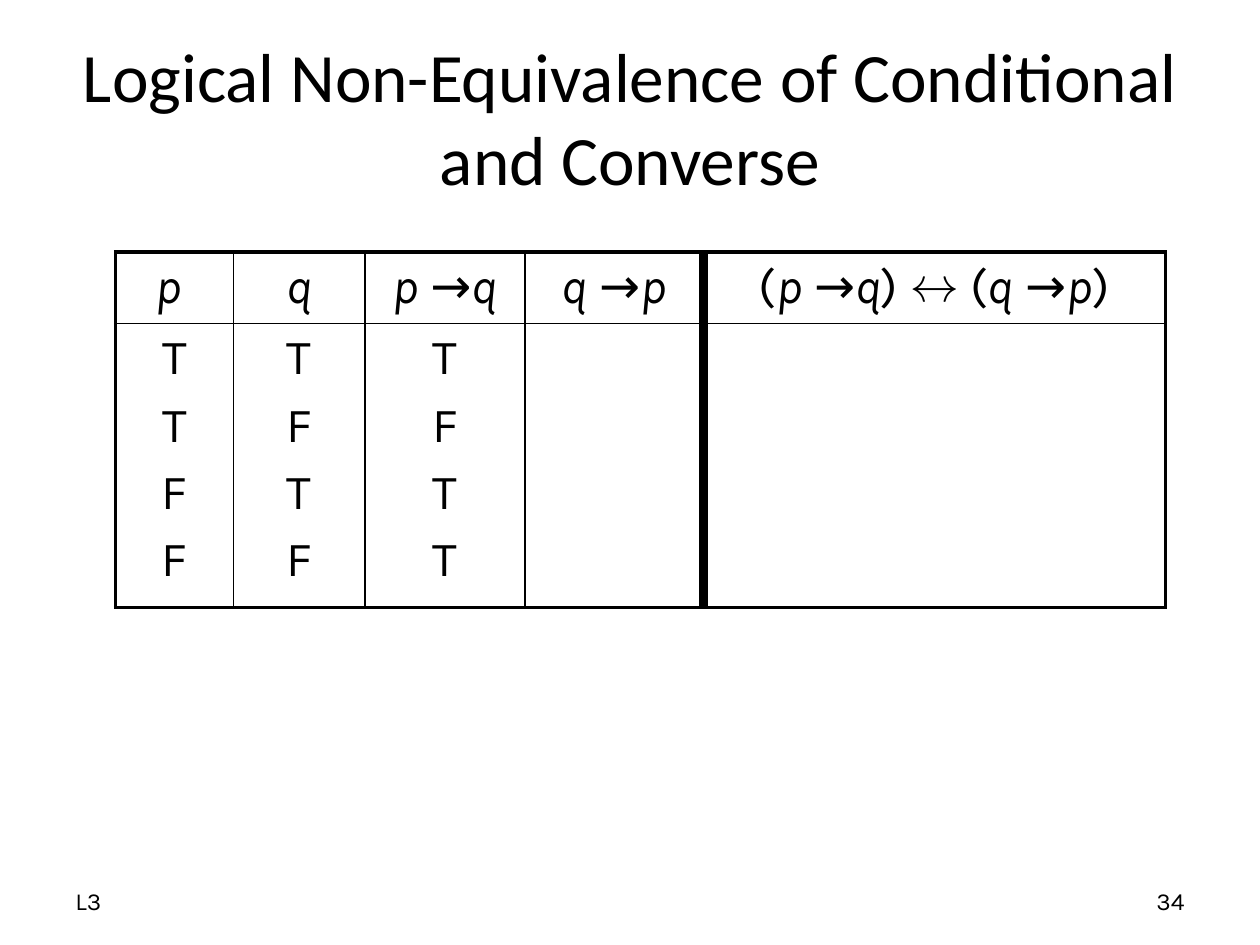
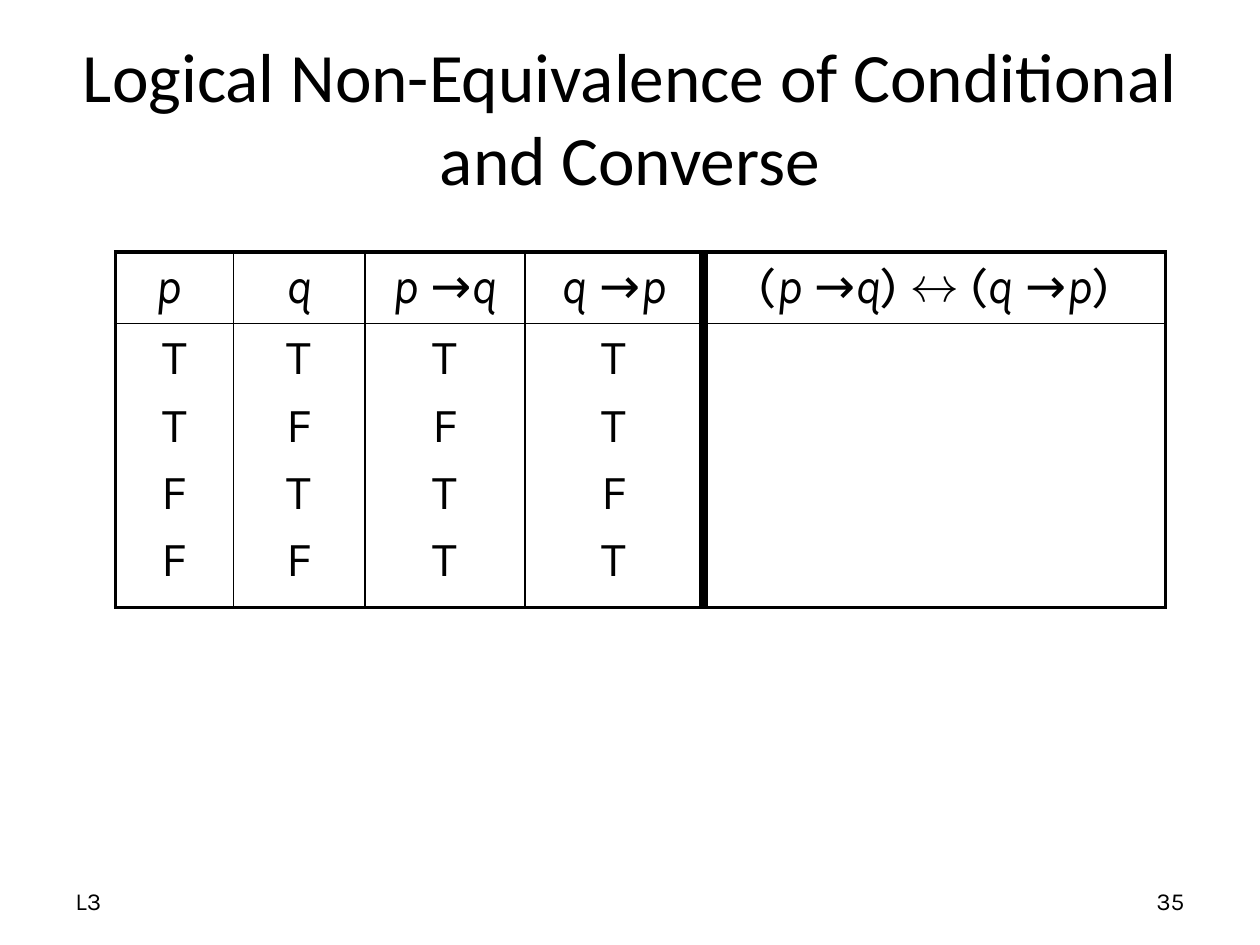
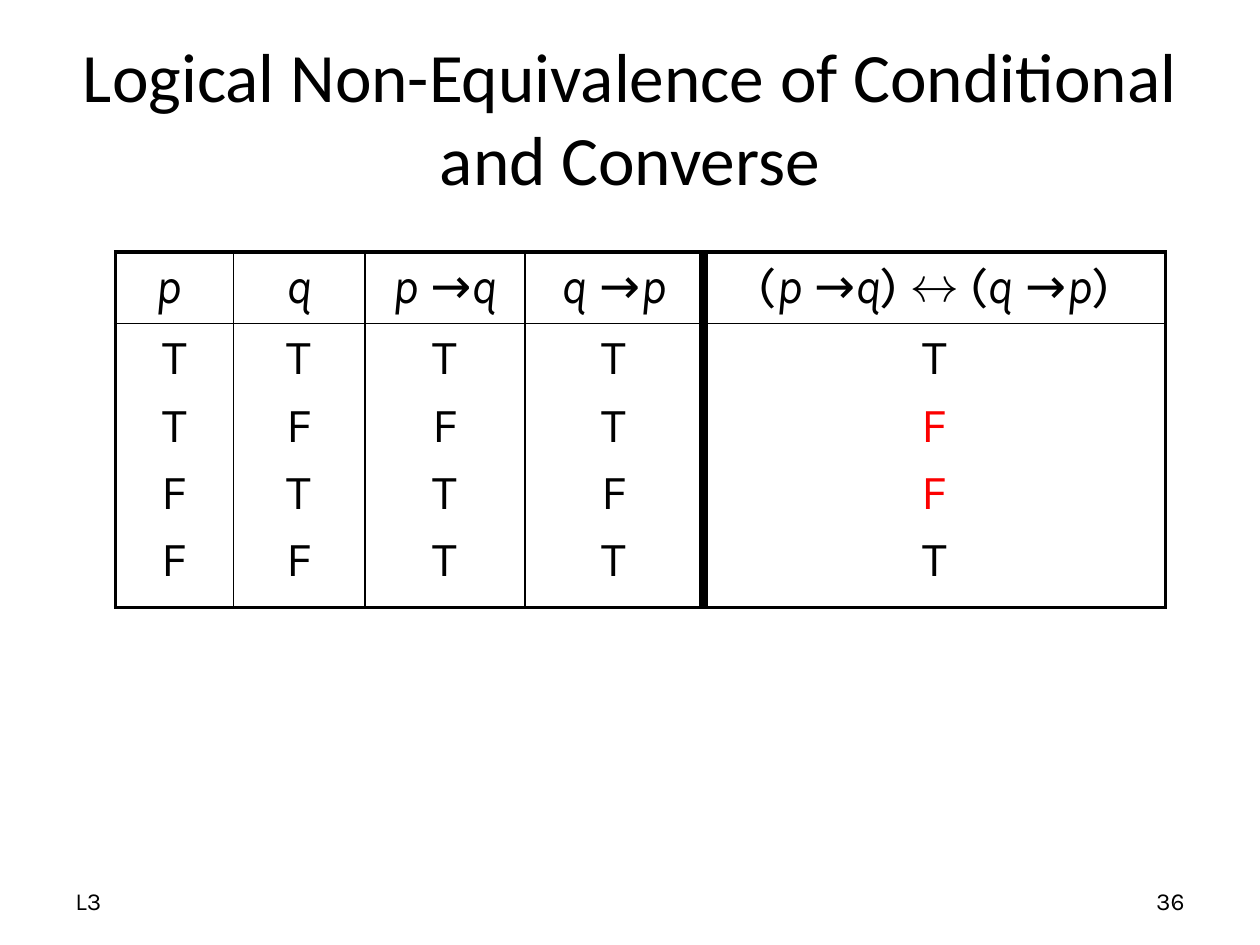
import itertools

import pptx
import pptx.dml.color
import pptx.enum.text
import pptx.oxml
import pptx.oxml.ns
import pptx.util

Pt = pptx.util.Pt
ALIGN = pptx.enum.text.PP_ALIGN
BLACK, RED = "000000", "FC0000"
TITLE_FONT, BODY_FONT = "Calibri", "Karla"

TITLE = "Logical Non-Equivalence of Conditional and Converse"
LECTURE = "L3"
FIRST_NUMBER = 34

HEADERS = ["p ", "q", "p →q", "q →p", "(p →q) ↔ (q →p)"]
TRUTH_VALUES = ["TTFF", "TFTF", "TFTT", "TTFT", "TFFT"]
FILLED_COLUMNS = [3, 4, 5]

COLUMN_WIDTHS = [67.5, 75, 91.5, 102, 264]
ROW_HEIGHTS = [41, 162]
VERTICAL_RULES = [2.25, 1, 1, 1, 6, 2.25]
HORIZONTAL_RULES = [2.25, 1, 2.25]


def rgb(value):
    return pptx.dml.color.RGBColor.from_string(value)


def style_paragraph(p, font, size, align, color=BLACK):
    p.alignment = align
    p.font.name = font
    p.font.size = Pt(size)
    p.font.color.rgb = rgb(color)


def add_text(s, text, left, top, width, height, font, size, align):
    tf = s.shapes.add_textbox(Pt(left), Pt(top), Pt(width), Pt(height)).text_frame
    tf.word_wrap = True
    tf.vertical_anchor = pptx.enum.text.MSO_ANCHOR.MIDDLE
    p = tf.paragraphs[0]
    p.add_run().text = text
    style_paragraph(p, font, size, align)


def add_frame(s, number):
    """Add the title, the lecture label and the slide number."""
    add_text(s, LECTURE, 36, 500.5, 168, 28.8, BODY_FONT, 14, ALIGN.LEFT)
    add_text(s, str(number), 516, 500.5, 168, 28.8, BODY_FONT, 14, ALIGN.RIGHT)
    add_text(s, TITLE, 36, 21.6, 648, 90, TITLE_FONT, 39.6, ALIGN.CENTER)


def set_borders(cell, widths):
    """Draw the left, right, top and bottom borders, in that order."""
    tcPr = cell._tc.get_or_add_tcPr()
    for side, width in zip("LRTB", widths):
        tcPr.append(pptx.oxml.parse_xml(
            f'<a:ln{side} {pptx.oxml.ns.nsdecls("a")} w="{Pt(width)}">'
            f'<a:solidFill><a:srgbClr val="{BLACK}"/></a:solidFill></a:ln{side}>'))


def style_cell_paragraph(p, color=BLACK):
    style_paragraph(p, BODY_FONT, 28, ALIGN.CENTER, color)
    p.space_before = Pt(5.6)


def write_formula(cell, formula):
    """Write a formula with its variables in italics."""
    p = cell.text_frame.paragraphs[0]
    style_cell_paragraph(p)
    for is_variable, chars in itertools.groupby(formula, lambda c: c in "pq"):
        r = p.add_run()
        r.text = "".join(chars)
        r.font.italic = is_variable


def write_truth_values(cell, values, false_color):
    tf = cell.text_frame
    for i, value in enumerate(values):
        p = tf.add_paragraph() if i else tf.paragraphs[0]
        p.add_run().text = value
        style_cell_paragraph(p, false_color if value == "F" else BLACK)


def add_truth_table(s, filled):
    """Add the table with truth values in the first `filled` columns."""
    table = s.shapes.add_table(
        len(ROW_HEIGHTS), len(COLUMN_WIDTHS), Pt(66), Pt(144),
        Pt(sum(COLUMN_WIDTHS)), Pt(sum(ROW_HEIGHTS))).table
    table.first_row = table.horz_banding = False
    for row, height in zip(table.rows, ROW_HEIGHTS):
        row.height = Pt(height)
    for col, width in enumerate(COLUMN_WIDTHS):
        table.columns[col].width = Pt(width)
        for row in range(len(ROW_HEIGHTS)):
            cell = table.cell(row, col)
            set_borders(cell, VERTICAL_RULES[col:col + 2] + HORIZONTAL_RULES[row:row + 2])
            cell.fill.background()
        write_formula(table.cell(0, col), HEADERS[col])
        if col < filled:
            is_result = col == len(COLUMN_WIDTHS) - 1
            write_truth_values(table.cell(1, col), TRUTH_VALUES[col],
                               RED if is_result else BLACK)


def main():
    prs = pptx.Presentation()
    prs.slide_width, prs.slide_height = Pt(720), Pt(540)
    for number, filled in enumerate(FILLED_COLUMNS, FIRST_NUMBER):
        s = prs.slides.add_slide(prs.slide_layouts[6])
        add_frame(s, number)
        add_truth_table(s, filled)
    prs.save("out.pptx")


if __name__ == "__main__":
    main()
